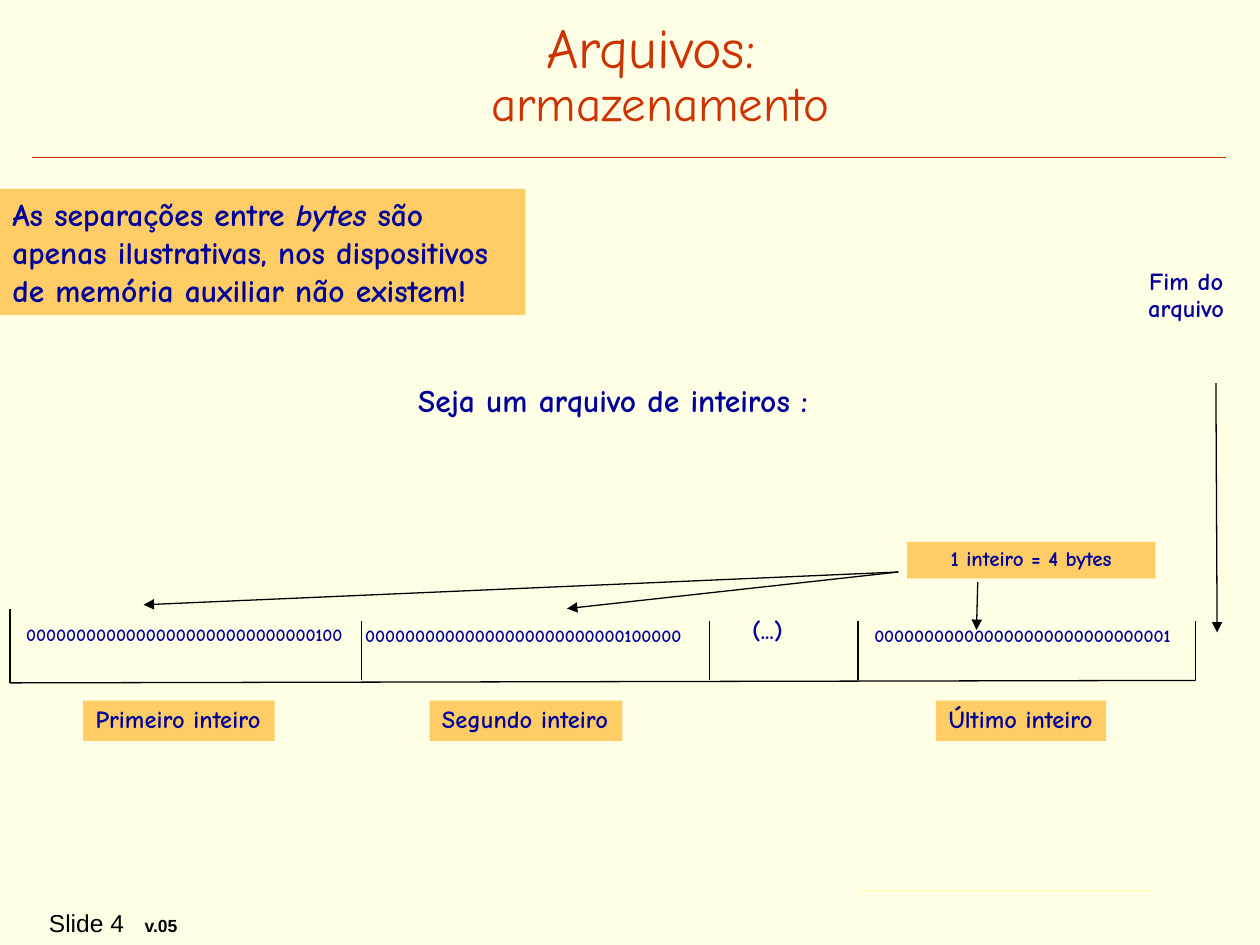
"""Build a slide on how a file of integers is stored."""
from dataclasses import dataclass

import pptx
import pptx.dml.color
import pptx.enum.shapes
import pptx.enum.text
import pptx.oxml
import pptx.oxml.ns
import pptx.util

Inches = pptx.util.Inches
Align = pptx.enum.text.PP_ALIGN
Anchor = pptx.enum.text.MSO_ANCHOR


@dataclass(frozen=True)
class Theme:
    """Colours, fonts and type sizes of the slide."""
    paper: str = "FFFFE5"
    accent: str = "CC3300"
    ink: str = "000099"
    black: str = "000000"
    label: str = "FFCC66"
    faint: str = "FFFFCC"
    font: str = "Comic Neue"
    footer_font: str = "Arial"
    title: int = 32
    subtitle: int = 28
    body: int = 18
    caption: int = 14
    note: int = 12
    bits: int = 10


THEME = Theme()


def rgb(value):
    """Turn a hex string into a colour."""
    return pptx.dml.color.RGBColor.from_string(value)


def set_values(target, values):
    """Set each attribute of the target from a dict."""
    for name, value in values.items():
        setattr(target, name, value)


def add_span(para, text, size, color=THEME.ink, font=THEME.font, **extra):
    """Add one formatted run to a paragraph."""
    span = para.add_run()
    span.text = text
    set_values(span.font, {"name": font, "size": pptx.util.Pt(size), "bold": True, **extra})
    span.font.color.rgb = rgb(color)


def add_box(page, place, wrap=True, align=Align.LEFT, spacing=0.93, fill=None, anchor=Anchor.TOP):
    """Add a text box, filled when a colour is given, and return its paragraph."""
    place = [Inches(length) for length in place]
    if fill:
        box = page.shapes.add_shape(pptx.enum.shapes.MSO_SHAPE.RECTANGLE, *place)
        box.shadow.inherit = False
        box.fill.solid()
        box.fill.fore_color.rgb = rgb(fill)
        box.line.fill.background()
    else:
        box = page.shapes.add_textbox(*place)
    set_values(box.text_frame, {"word_wrap": wrap, "vertical_anchor": anchor})
    para = box.text_frame.paragraphs[0]
    set_values(para, {"alignment": align, "line_spacing": spacing})
    return para


def add_text(page, place, text, size, **layout):
    """Add a box that holds one run of text."""
    add_span(add_box(page, place, **layout), text, size)


def add_line(page, start, end, color=THEME.black, width=0.75, arrow=False):
    """Add a straight line, with an arrowhead at its end on request."""
    ends = [Inches(length) for length in (*start, *end)]
    line = page.shapes.add_connector(pptx.enum.shapes.MSO_CONNECTOR.STRAIGHT, *ends)
    line.line.color.rgb = rgb(color)
    line.line.width = pptx.util.Pt(width)
    if arrow:
        head = pptx.oxml.parse_xml(f'<a:tailEnd {pptx.oxml.ns.nsdecls("a")} type="triangle"/>')
        line.line._get_or_add_ln().append(head)
    effects = pptx.oxml.parse_xml(f'<a:effectLst {pptx.oxml.ns.nsdecls("a")}/>')
    line._element.spPr.append(effects)


def add_title(page):
    """Add the two-line title and the rule below it."""
    add_line(page, (0.25, 1.25), (9.73, 1.25), THEME.accent, 1)
    para = add_box(page, (0.83, 0, 8.67, 1.25), align=Align.CENTER, spacing=0.8, anchor=Anchor.MIDDLE)
    add_span(para, "Arquivos:", THEME.title, THEME.accent, bold=False)
    para.add_line_break()
    add_span(para, " ", THEME.title, THEME.accent, bold=False)
    add_span(para, "armazenamento", THEME.subtitle, THEME.accent, bold=False)


def add_footer(page):
    """Add the slide number, the version and the faint rule."""
    add_line(page, (6.8, 7.07), (9.14, 7.07), THEME.faint, 1)
    para = add_box(page, (0.29, 7.16, 1.25, 0.33), wrap=False, spacing=1.0, anchor=Anchor.MIDDLE)
    tabs = pptx.oxml.parse_xml(
        f'<a:tabLst {pptx.oxml.ns.nsdecls("a")}><a:tab pos="{Inches(0.76)}" algn="l"/></a:tabLst>')
    para._p.get_or_add_pPr().append(tabs)
    add_span(para, "Slide 4\t", THEME.caption, THEME.black, THEME.footer_font, bold=False)
    add_span(para, "v.05", THEME.bits, THEME.black, THEME.footer_font)


def add_notes(page):
    """Add the remark on bytes and the texts above the file."""
    para = add_box(page, (0, 1.5, 4.17, 1), spacing=1.0, fill=THEME.label)
    add_span(para, "As separações entre ", THEME.body)
    add_span(para, "bytes", THEME.body, italic=True)
    add_span(para, " são apenas ilustrativas, nos dispositivos de memória auxiliar não existem!", THEME.body)
    add_text(page, (3.22, 3, 3.31, 0.38), "Seja um arquivo de inteiros :", THEME.body, wrap=False)
    add_text(page, (8.83, 2.08, 1.17, 0.54), "Fim do arquivo", THEME.caption, align=Align.CENTER)
    add_text(page, (7.2, 4.3, 1.97, 0.29), "1 inteiro = 4 bytes", THEME.note,
             align=Align.CENTER, fill=THEME.label)


def add_file(page):
    """Add the file's cells with their bits and labels."""
    add_line(page, (0.08, 5.42), (9.49, 5.4))
    add_line(page, (0.08, 5.42), (0.08, 4.83))
    for left in (2.87, 5.63, 6.81, 9.49):
        add_line(page, (left, 5.4), (left, 4.93))
    for left, top, width, bits in (
        (0.11, 4.92, 2.71, "00000000000000000000000000000100"),
        (2.8, 4.93, 2.71, "00000000000000000000000000100000"),
        (6.84, 4.93, 2.55, "000000000000000000000000000001"),
    ):
        add_text(page, (left, top, width, 0.26), bits, THEME.bits, wrap=False)
    add_text(page, (5.87, 4.85, 0.72, 0.32), "(...)", THEME.caption)
    for left, width, name in (
        (0.66, 1.52, "Primeiro inteiro"),
        (3.41, 1.53, "Segundo inteiro"),
        (7.43, 1.35, "Último inteiro"),
    ):
        add_text(page, (left, 5.56, width, 0.32), name, THEME.caption, wrap=False, fill=THEME.label)


def add_arrows(page):
    """Add the arrows that point at the integers and the end of the file."""
    for start, end in (
        ((9.65, 3.04), (9.66, 5.02)),
        ((7.13, 4.54), (1.14, 4.8)),
        ((7.13, 4.54), (4.5, 4.83)),
        ((7.76, 4.62), (7.75, 5)),
    ):
        add_line(page, start, end, arrow=True)


def main():
    """Build the deck and save it."""
    deck = pptx.Presentation()
    set_values(deck, {"slide_width": Inches(10), "slide_height": Inches(7.5)})
    page = deck.slides.add_slide(deck.slide_layouts[6])
    page.background.fill.solid()
    page.background.fill.fore_color.rgb = rgb(THEME.paper)
    for add_part in (add_title, add_footer, add_notes, add_file, add_arrows):
        add_part(page)
    deck.save("out.pptx")


if __name__ == "__main__":
    main()
